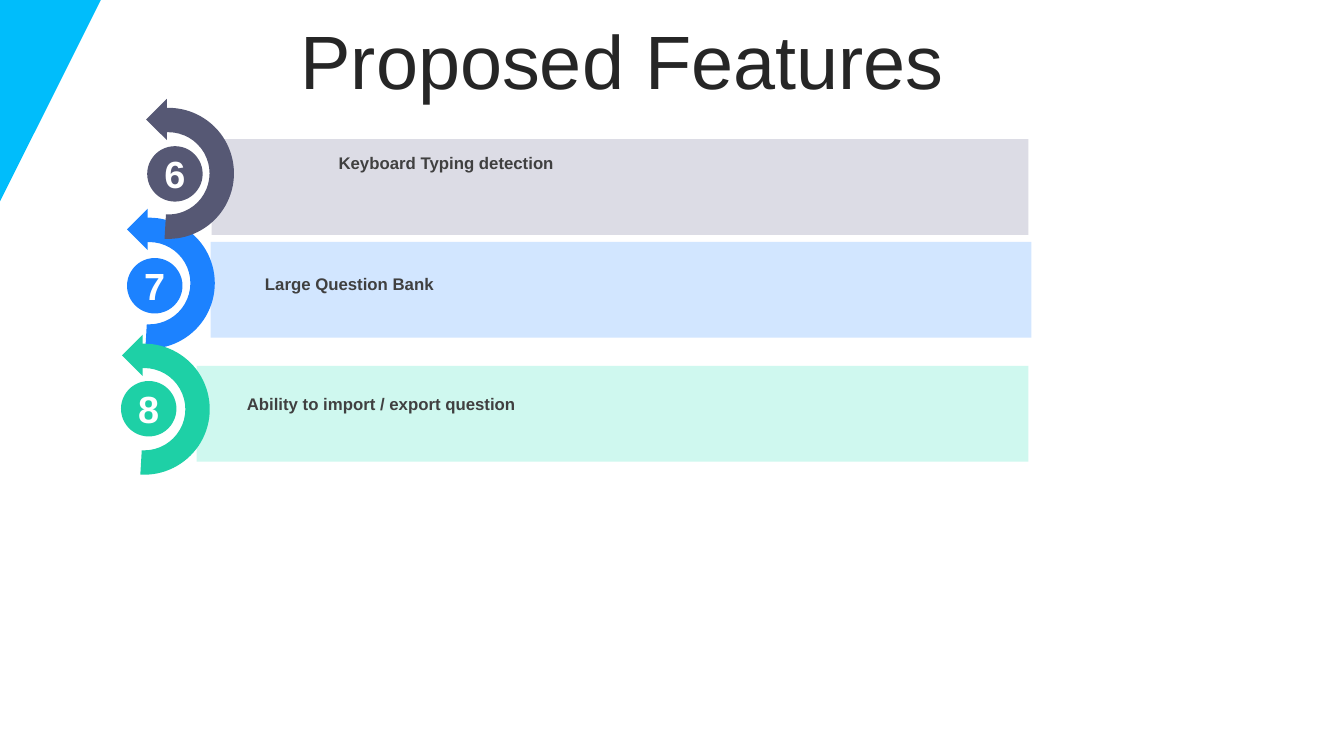
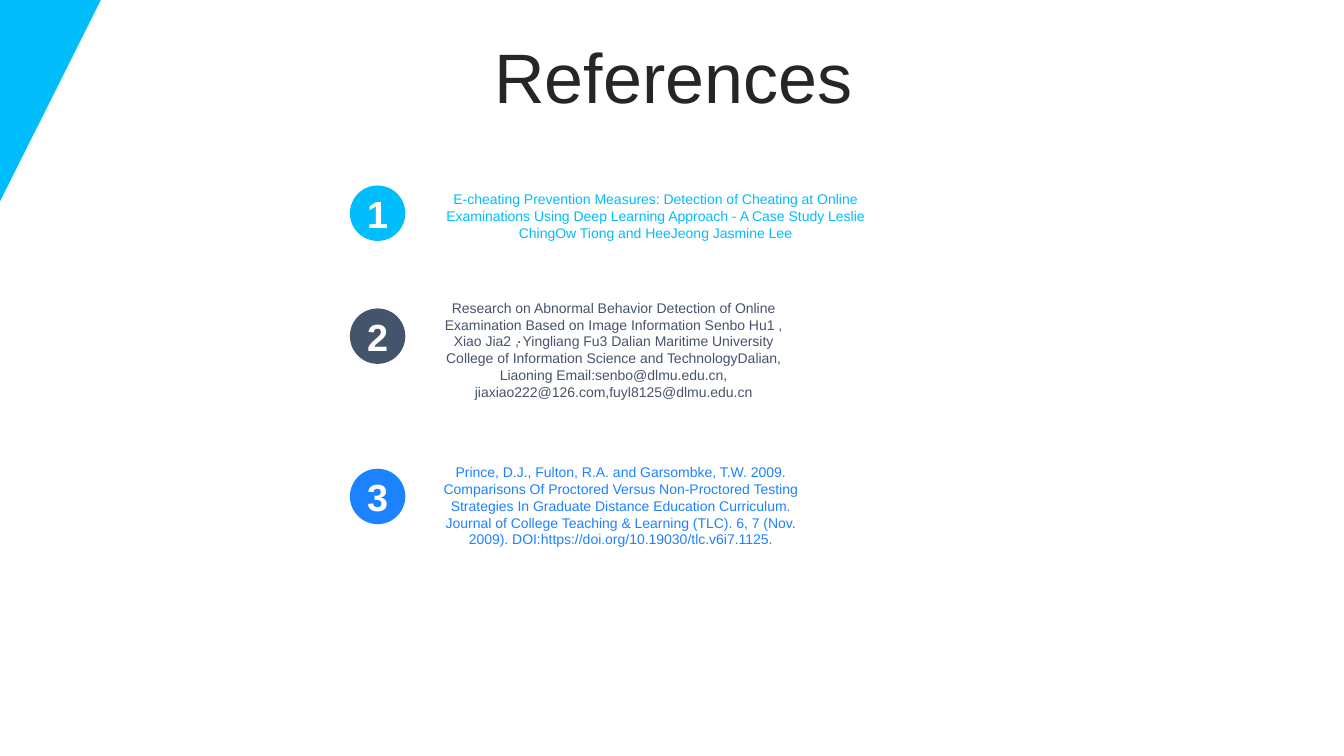
from pptx import Presentation
from pptx.dml.color import RGBColor
from pptx.enum.shapes import MSO_SHAPE
from pptx.enum.text import MSO_ANCHOR, PP_ALIGN
from pptx.util import Inches, Pt

FONT = "Arial"
WHITE = RGBColor(0xFF, 0xFF, 0xFF)
TITLE_COLOR = RGBColor(0x26, 0x26, 0x26)
LABEL_COLOR = RGBColor(0x40, 0x40, 0x40)
CYAN = RGBColor(0x00, 0xBD, 0xFB)
BLUE = RGBColor(0x1C, 0x82, 0xFF)
GREEN = RGBColor(0x1E, 0xD0, 0xA6)
PURPLE = RGBColor(0x56, 0x58, 0x74)
SLATE = RGBColor(0x44, 0x54, 0x6A)
PALE_BLUE = RGBColor(0xD2, 0xE6, 0xFF)
PALE_GREEN = RGBColor(0xCF, 0xF8, 0xEF)
PALE_PURPLE = RGBColor(0xDC, 0xDC, 0xE5)

STRIPES = [
    [(0, 0), (0.21, 0), (0, 0.59)],
    [(0.28, 0), (0.39, 0), (0, 1.06), (0, 0.77)],
    [(0.45, 0), (0.66, 0), (0, 1.82), (0, 1.23)],
    [(0.73, 0), (0.83, 0), (0, 2.29), (0, 2)],
]

FEATURES = [
    dict(number="7", text="Large Question Bank", color=BLUE, pale=PALE_BLUE,
         band=(2.09, 2.4, 8.14), arc=(0.83, 2.16), disc=(1.26, 2.56), label=(2.53, 2.67)),
    dict(number="8", text="Ability to import / export question", color=GREEN, pale=PALE_GREEN,
         band=(1.95, 3.63, 8.25), arc=(0.78, 3.41), disc=(1.2, 3.78), label=(2.35, 3.86)),
    dict(number="6", text="Keyboard Typing detection", color=PURPLE, pale=PALE_PURPLE,
         band=(2.1, 1.38, 8.1), arc=(1.02, 1.07), disc=(1.46, 1.45), label=(3.26, 1.47)),
]

REFERENCES = [
    ("E-cheating Prevention Measures: Detection of Cheating at Online Examinations Using "
     "Deep Learning Approach - A Case Study Leslie ChingOw Tiong and HeeJeong Jasmine Lee",
     CYAN, 1.84, (4.13, 1.84, 4.74, 0.61)),
    ("Research on Abnormal Behavior Detection of Online Examination Based on Image Information "
     "Senbo Hu1 , Xiao Jia2 , Yingliang Fu3 Dalian Maritime University College of Information "
     "Science and TechnologyDalian, Liaoning Email:senbo@dlmu.edu.cn, "
     "jiaxiao222@126.com,fuyl8125@dlmu.edu.cn",
     SLATE, 3.06, (4.27, 2.92, 3.63, 1.28)),
    ("Prince, D.J., Fulton, R.A. and Garsombke, T.W. 2009. Comparisons Of Proctored Versus "
     "Non-Proctored Testing Strategies In Graduate Distance Education Curriculum. Journal of "
     "College Teaching & Learning (TLC). 6, 7 (Nov. 2009). "
     "DOI:https://doi.org/10.19030/tlc.v6i7.1125.",
     BLUE, 4.65, (4.13, 4.55, 4.05, 0.94)),
]

BAND_HEIGHT = 0.95
DISC_SIZE = 0.55
DISC_LEFT = 3.47
ARC_SIZE = 1.3
ARC_ADJUSTMENTS = (104.732, 2.031, 0.186)
HEAD_SIZE = 0.29
HEAD_OFFSET = (0.49, -0.03)


def paint(shape, color):
    shape.shadow.inherit = False
    shape.fill.solid()
    shape.fill.fore_color.rgb = color
    shape.line.fill.background()


def add_filled(slide, kind, left, top, width, height, color, rotation=0):
    shape = slide.shapes.add_shape(kind, Inches(left), Inches(top), Inches(width), Inches(height))
    paint(shape, color)
    shape.rotation = rotation
    return shape


def write(shape, text, size, color, alignment=PP_ALIGN.LEFT, bold=False):
    paragraph = shape.text_frame.paragraphs[0]
    paragraph.text = text
    paragraph.alignment = alignment
    font = paragraph.font
    font.name, font.size, font.bold = FONT, Pt(size), bold
    font.color.rgb = color
    return paragraph


def add_text(slide, box, text, size, color, alignment=PP_ALIGN.LEFT, bold=False):
    shape = slide.shapes.add_textbox(*map(Inches, box))
    shape.text_frame.word_wrap = True
    write(shape, text, size, color, alignment, bold)
    return shape


def add_title(slide, text, left, top, size, line_spacing):
    title = add_text(slide, (left, top, 12.66, 0.79), text, size, TITLE_COLOR, PP_ALIGN.CENTER)
    title.text_frame.vertical_anchor = MSO_ANCHOR.MIDDLE
    title.text_frame.paragraphs[0].line_spacing = line_spacing


def add_numbered_disc(slide, left, top, number, color):
    disc = add_filled(slide, MSO_SHAPE.OVAL, left, top, DISC_SIZE, DISC_SIZE, color)
    frame = disc.text_frame
    frame.margin_left = frame.margin_right = frame.margin_top = frame.margin_bottom = 0
    frame.word_wrap = False
    frame.vertical_anchor = MSO_ANCHOR.MIDDLE
    write(disc, number, 27, WHITE, PP_ALIGN.CENTER, True)


def add_turning_arrow(slide, left, top, color):
    arc = add_filled(slide, MSO_SHAPE.BLOCK_ARC, left, top, ARC_SIZE, ARC_SIZE, color, 90)
    for index, value in enumerate(ARC_ADJUSTMENTS):
        arc.adjustments[index] = value
    add_filled(slide, MSO_SHAPE.RIGHT_TRIANGLE, left + HEAD_OFFSET[0], top + HEAD_OFFSET[1],
               HEAD_SIZE, HEAD_SIZE, color, 45)


def add_stripes_to_layout(layout, slide):
    builder = slide.shapes.build_freeform(0, 0, scale=Inches(1))
    for index, (start, *rest) in enumerate(STRIPES):
        if index:
            builder.move_to(*start)
        builder.add_line_segments(rest, close=True)
    stripes = builder.convert_to_shape()
    paint(stripes, CYAN)
    layout.shapes.element.append(stripes.element)


def build_features(slide):
    add_title(slide, "Proposed Features", -0.16, 0.25, 54, 0.9)
    for feature in FEATURES:
        add_filled(slide, MSO_SHAPE.RECTANGLE, *feature["band"], BAND_HEIGHT, feature["pale"])
        add_turning_arrow(slide, *feature["arc"], feature["color"])
        add_numbered_disc(slide, *feature["disc"], feature["number"], feature["color"])
        add_text(slide, (*feature["label"], 5.2, 0.3), feature["text"], 12, LABEL_COLOR, bold=True)


def build_references(slide):
    add_title(slide, "References", 0.35, 0.43, 50, 0.8)
    add_text(slide, (1.4, 3.19, 3.87, 0.3), ".", 12, LABEL_COLOR, PP_ALIGN.RIGHT)
    for number, (text, color, disc_top, box) in enumerate(REFERENCES, 1):
        add_text(slide, box, text, 10, color, PP_ALIGN.CENTER)
        add_numbered_disc(slide, DISC_LEFT, disc_top, str(number), color)


def main():
    presentation = Presentation()
    presentation.slide_width = Inches(13.33)
    presentation.slide_height = Inches(7.5)
    blank = presentation.slide_layouts[6]
    features_slide = presentation.slides.add_slide(blank)
    add_stripes_to_layout(blank, features_slide)
    build_features(features_slide)
    build_references(presentation.slides.add_slide(blank))
    presentation.save("out.pptx")


if __name__ == "__main__":
    main()
